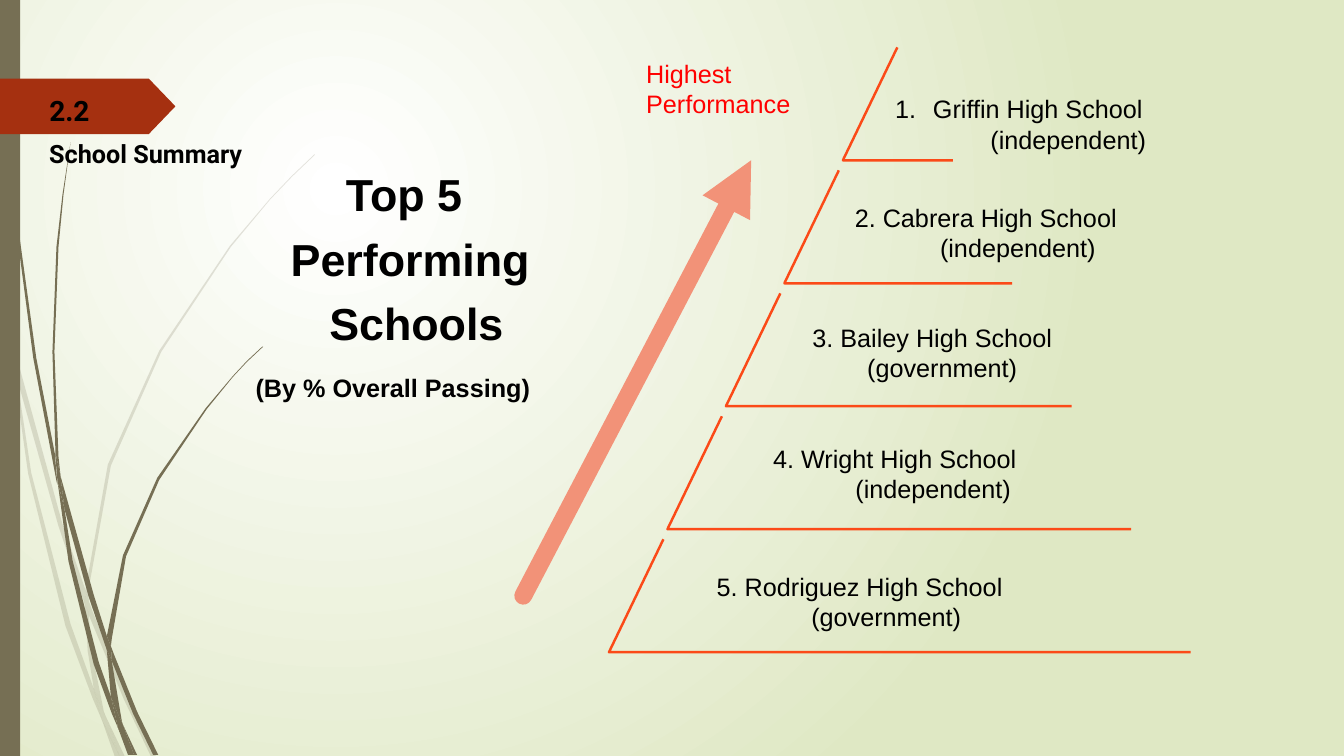
from lxml import etree
from pptx import Presentation
from pptx import util as u
from pptx.dml.color import RGBColor
from pptx.enum import shapes, text
from pptx.oxml import parse_xml
from pptx.oxml.ns import nsdecls, qn

PX = 9144
COLORS = {
    "olive": "766F54", "rust": "A53010", "step": "FB4A18", "arrow": "F29278",
    "ink": "000000", "red": "FF0000", "glow": "FFFFFF", "sage": "DFE8C4",
}
CENTER = text.PP_ALIGN.CENTER

FAINT_STEMS = [
    [(11, 350), (9, 322), (0, 282), (0, 299), (10, 344)],
    [(58, 522), (84, 599), (85, 586), (62, 520), (14, 345), (17, 376)],
    [(92, 607), (88, 596), (88, 610), (123, 694), (150, 751), (155, 751), (127, 692)],
    [(119, 751), (124, 751), (105, 711)],
    [(93, 683), (70, 619), (31, 469), (17, 376), (11, 350), (28, 470), (65, 621),
     (92, 693), (101, 714), (99, 707)],
    [(84, 599), (87, 646), (93, 683), (96, 692), (105, 711), (103, 706), (91, 646),
     (88, 610), (88, 608)],
    [(88, 584), (110, 462), (160, 349), (229, 245), (268, 198), (290, 175), (312, 154),
     (312, 153), (289, 175), (268, 197), (228, 244), (158, 348), (107, 461), (85, 584),
     (85, 586), (88, 596)],
    [(101, 714), (114, 751), (119, 751)],
    [(88, 608), (88, 610), (88, 596), (85, 586), (84, 599)],
    [(96, 692), (93, 683), (99, 707), (101, 714), (119, 751), (105, 711)],
]
DARK_STEMS = [
    [(7, 110), (17, 233), (33, 355), (56, 477), (57, 481), (55, 457), (55, 453),
     (36, 355), (19, 232), (8, 109), (5, 48), (4, 0), (3, 0), (4, 48)],
    [(88, 592), (106, 645), (106, 633), (106, 631), (93, 590), (60, 472), (64, 505)],
    [(113, 649), (110, 641), (111, 656), (132, 708), (152, 749), (157, 749), (136, 706)],
    [(110, 691), (98, 657), (72, 556), (64, 505), (57, 477), (68, 557), (93, 659),
     (111, 708), (117, 722), (116, 717)],
    [(60, 472), (58, 453), (54, 349), (58, 245), (63, 193), (70, 141), (62, 193),
     (56, 245), (52, 349), (55, 449)],
    [(133, 749), (136, 749), (122, 719)],
    [(57, 477), (64, 505), (60, 472), (55, 449), (55, 453)],
    [(111, 633), (125, 552), (158, 476), (205, 406), (231, 374), (245, 359), (261, 344),
     (260, 344), (245, 358), (231, 373), (204, 405), (156, 474), (122, 551), (106, 631),
     (110, 641)],
    [(117, 722), (127, 749), (131, 749)],
    [(106, 645), (110, 691), (116, 706), (122, 719), (121, 716), (111, 656), (109, 651)],
    [(106, 645), (109, 651), (111, 656), (110, 641), (106, 631), (106, 633)],
    [(116, 706), (110, 691), (116, 717), (117, 722), (130, 749), (133, 749), (122, 719)],
]
SCHOOLS = [
    ("Griffin High School", "(independent)", (878, 88, 363, 71)),
    ("2. Cabrera High School", "(independent)", (838, 196, 343, 71)),
    ("3. Bailey High School", "(government)", (796, 315, 277, 71)),
    ("4. Wright High School", "(independent) ", (757, 435, 344, 71)),
    ("5. Rodriguez High School", "(government)", (701, 562, 356, 71)),
]


def color(name):
    """Return the named palette colour."""
    return RGBColor.from_string(COLORS[name])


def paint(shape, name):
    """Give a shape a plain fill without outline or shadow."""
    shape.shadow.inherit = False
    shape.fill.solid()
    shape.fill.fore_color.rgb = color(name)
    shape.line.fill.background()


def write(parent, box, lines, size, font="Arial", ink="ink", bold=False, **layout):
    """Place a text box whose lines are (alignment, [(words, size or None), ...])."""
    area = parent.add_textbox(*(n * PX for n in box))
    frame = area.text_frame
    frame.word_wrap = True
    frame.auto_size = text.MSO_AUTO_SIZE.SHAPE_TO_FIT_TEXT
    for index, (align, pieces) in enumerate(lines):
        para = frame.paragraphs[0] if index == 0 else frame.add_paragraph()
        for key, value in {"alignment": align, **layout}.items():
            setattr(para, key, value)
        for words, own_size in pieces:
            span = para.add_run()
            span.text = words
            look = {"name": font, "size": u.Pt(own_size or size), "bold": bold}
            for key, value in look.items():
                setattr(span.font, key, value)
            span.font.color.rgb = color(ink)
    return frame


def trace(parent, points, close):
    """Draw a freeform through points given in px."""
    builder = parent.build_freeform(*points[0], scale=PX)
    builder.add_line_segments(points[1:], close=close)
    shape = builder.convert_to_shape()
    shape.shadow.inherit = False
    return shape


def draw_background(page):
    """Fill the page with a glow that fades to sage."""
    stops = "".join(
        f'<a:gs pos="{pos}"><a:srgbClr val="{COLORS[name]}"/></a:gs>'
        for pos, name in ((0, "glow"), (100000, "sage")))
    page.background.fill.solid()
    solid = page.background._cSld.find(".//" + qn("a:solidFill"))
    solid.getparent().replace(solid, parse_xml(
        f'<a:gradFill rotWithShape="1" {nsdecls("a")}><a:gsLst>{stops}</a:gsLst>'
        '<a:path path="circle"><a:fillToRect l="50000" t="50000" r="100000" b="100000"/>'
        '</a:path></a:gradFill>'))


def draw_grass(page, stems, alpha=None):
    """Draw one group of olive stems, faint when alpha is given."""
    group = page.shapes.add_group_shape()
    for stem in stems:
        blade = trace(group.shapes, stem, True)
        paint(blade, "olive")
        if alpha:
            tint = blade._element.spPr.find(qn("a:solidFill"))[0]
            etree.SubElement(tint, qn("a:alpha"), val=str(alpha * 1000))


def draw_edge(page, box):
    """Draw the olive edge bar and the rust flag inside the box."""
    left, top, width, height = box
    bar = page.shapes.add_shape(
        shapes.MSO_SHAPE.RECTANGLE, left * PX, top * PX, width * PX, height * PX)
    paint(bar, "olive")
    flag = page.shapes.add_shape(
        shapes.MSO_SHAPE.PENTAGON, left * PX, (top + 78) * PX, 174 * PX, 55 * PX)
    flag.adjustments[0] = 0.48
    paint(flag, "rust")


def draw_steps(page, box):
    """Draw the five open corners, each lower, further left and wider."""
    left, top, rise, slant = box
    for index in range(len(SCHOOLS)):
        x, y = left - 58 * index, top + 122 * index
        width = 109 + 117 * index
        corner = [(x + slant, y), (x, y + rise), (x + width, y + rise)]
        step = trace(page.shapes, corner, False)
        step.fill.background()
        step.line.color.rgb = color("step")
        step.line.width = u.Pt(1.75)


def draw_schools(page):
    """Write the ranked schools, the first with an automatic number."""
    for index, (name, sector, box) in enumerate(SCHOOLS):
        lines = [(None, [(name, None)]), (CENTER, [(sector, None)])]
        frame = write(page.shapes, box, lines, 18)
        if index == 0:
            props = frame.paragraphs[0]._p.get_or_add_pPr()
            props.set("marL", "342900")
            props.set("indent", "-342900")
            etree.SubElement(props, qn("a:buFont"), typeface="+mj-lt")
            etree.SubElement(props, qn("a:buAutoNum"), type="arabicPeriod")


def draw_titles(page):
    """Write the section heading and the large title with its subtitle."""
    title = [(CENTER, [(words, None)]) for words in ("Top 5 ", "Performing", " Schools")]
    write(page.shapes, (217, 150, 380, 198), title, 32, bold=True, line_spacing=1.2)
    subtitle = [(CENTER, [(" ", 24), ("(By % Overall Passing) ", None)])]
    write(page.shapes, (217, 348, 343, 54), subtitle, 18, bold=True, line_spacing=1.2)
    for words, box, size in (("2.2", (39, 88, 99, 44), 20),
                             ("School Summary", (39, 132, 497, 40), 18)):
        write(page.shapes, box, [(None, [(words, None)])], size, "Roboto", bold=True)


def draw_arrow(page, ends):
    """Draw the rising arrow and its label."""
    arrow = page.shapes.add_connector(
        shapes.MSO_CONNECTOR.STRAIGHT, *(n * PX for n in ends))
    arrow.line.color.rgb = color("arrow")
    arrow.line.width = u.Pt(12.75)
    stroke = arrow.line._get_or_add_ln()
    stroke.set("cap", "rnd")
    etree.SubElement(stroke, qn("a:tailEnd"), type="triangle")
    etree.SubElement(arrow._element.spPr, qn("a:effectLst"))
    label = [(None, [("Highest Performance", None)])]
    write(page.shapes, (631, 53, 190, 71), label, 18, ink="red")


def main():
    """Build the deck and save it."""
    deck = Presentation()
    deck.slide_width, deck.slide_height = 1333 * PX, 750 * PX
    page = deck.slides.add_slide(deck.slide_layouts[6])
    draw_background(page)
    draw_grass(page, FAINT_STEMS, 20)
    draw_grass(page, DARK_STEMS)
    draw_edge(page, (0, 0, 20, 750))
    draw_steps(page, (836, 47, 112, 54))
    draw_schools(page)
    draw_titles(page)
    draw_arrow(page, (519, 591, 745, 159))
    deck.save("out.pptx")


if __name__ == "__main__":
    main()
